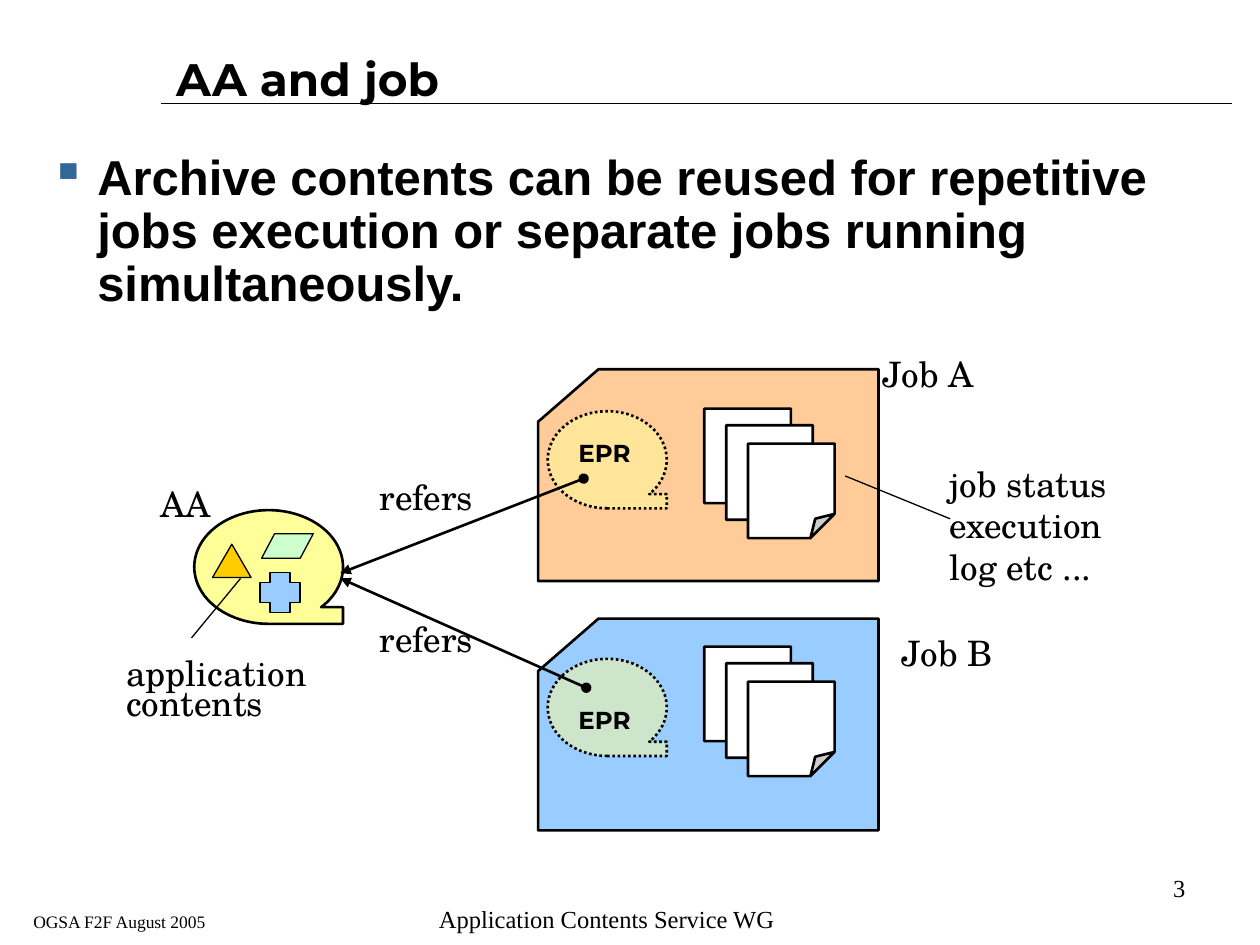
"""Build a slide showing how jobs refer to one application archive."""
from lxml import etree
from pptx import Presentation
from pptx.dml.color import RGBColor
from pptx.enum.dml import MSO_LINE
from pptx.enum.shapes import MSO_CONNECTOR, MSO_SHAPE
from pptx.enum.text import MSO_ANCHOR, MSO_AUTO_SIZE, PP_ALIGN
from pptx.oxml.ns import qn
from pptx.util import Pt

TAPE = MSO_SHAPE.FLOWCHART_SEQUENTIAL_ACCESS_STORAGE
PAGE = MSO_SHAPE.FOLDED_CORNER
TRI = MSO_SHAPE.ISOSCELES_TRIANGLE
SLANT = MSO_SHAPE.PARALLELOGRAM
CROSS = MSO_SHAPE.CROSS
DOTS = MSO_LINE.ROUND_DOT
STRAIGHT = MSO_CONNECTOR.STRAIGHT
TOP, MID = MSO_ANCHOR.TOP, MSO_ANCHOR.MIDDLE
LEFT, RIGHT = PP_ALIGN.LEFT, PP_ALIGN.RIGHT
CENTER, EVEN = PP_ALIGN.CENTER, PP_ALIGN.JUSTIFY
FIXED = MSO_AUTO_SIZE.NONE

HEAD, BODY = "Montserrat", "Arial"
NOTE, FOOT = "TeX Gyre Schola", "Times New Roman"
COLORS = {
    "ink": "000000", "white": "FFFFFF", "bullet": "336699",
    "peach": "FFCC99", "sky": "99CCFF", "cream": "FFFF99",
    "gold": "FFCC00", "mint": "CCFFCC",
}


def rgb(name):
    """Return a named colour."""
    return RGBColor.from_string(COLORS[name])


def place(shape, box):
    """Move and size a shape to a box in points."""
    shape.left, shape.top, shape.width, shape.height = map(Pt, box)


def write(shape, text, font, size, align=LEFT, bold=False, gap=None,
          inset=(7.2, 3.6), anchor=TOP):
    """Fill a text frame with evenly styled paragraphs."""
    frame = shape.text_frame
    frame.word_wrap, frame.auto_size = True, FIXED
    frame.vertical_anchor = anchor
    frame.margin_left = frame.margin_right = Pt(inset[0])
    frame.margin_top = frame.margin_bottom = Pt(inset[1])
    frame.text = text
    for para in frame.paragraphs:
        para.alignment, para.line_spacing = align, gap
        para.font.name, para.font.size = font, Pt(size)
        para.font.bold = bold
        para.font.color.rgb = rgb("ink")
    return frame.paragraphs


def label(slide, text, box, font, size, **style):
    """Add a text box."""
    shape = slide.shapes.add_textbox(*map(Pt, box))
    return write(shape, text, font, size, **style)


def note(slide, text, box, align=EVEN):
    """Add a tightly spaced diagram label."""
    return label(slide, text, box, NOTE, 20, align=align, gap=0.72)


def paint(shape, fill, width):
    """Give a shape its fill and outline."""
    shape.shadow.inherit = False
    shape.fill.solid()
    shape.fill.fore_color.rgb = rgb(fill)
    shape.line.color.rgb = rgb("ink")
    shape.line.width = Pt(width)


def draw(slide, kind, box, fill, width=1.5, adjust=None):
    """Add a preset shape."""
    shape = slide.shapes.add_shape(kind, *map(Pt, box))
    paint(shape, fill, width)
    if adjust is not None:
        geom = shape._element.spPr.find(qn("a:prstGeom"))
        for old in list(geom):
            geom.remove(old)
        guides = etree.SubElement(geom, qn("a:avLst"))
        etree.SubElement(guides, qn("a:gd"), name="adj",
                         fmla=f"val {round(adjust * 100000)}")
    return shape


def wire(slide, start, end, width=0.75, ends=()):
    """Add a straight line with optional head and tail marks."""
    link = slide.shapes.add_connector(STRAIGHT, *map(Pt, start + end))
    link.line.color.rgb = rgb("ink")
    link.line.width = Pt(width)
    edge = link._element.spPr.find(qn("a:ln"))
    for tag, mark in zip(("a:headEnd", "a:tailEnd"), ends):
        etree.SubElement(edge, qn(tag), type=mark)
    etree.SubElement(link._element.spPr, qn("a:effectLst"))


def card(slide, x, y, wide, high, fill):
    """Add a job card with its top left corner cut."""
    form = slide.shapes.build_freeform(Pt(x), Pt(y + high))
    points = [(x, y + 30), (x + 34.5, y), (x + wide, y), (x + wide, y + high)]
    form.add_line_segments([(Pt(a), Pt(b)) for a, b in points], close=True)
    paint(form.convert_to_shape(), fill, 1.5)


def job(slide, top, fill, tape, pages, epr, start, end):
    """Add a job card with its reference tape and log pages."""
    card(slide, 307.5, top, 194.5, 121, fill)
    ref = draw(slide, TAPE, (313, tape, 68, 55.5), "cream")
    ref.line.dash_style = DOTS
    tint = ref._element.spPr.find(qn("a:solidFill"))[0]
    etree.SubElement(tint, qn("a:alpha"), val="50000")
    wire(slide, start, end, 1.5, ("oval", "triangle"))
    for step, drop in enumerate((0, 9.5, 20)):
        draw(slide, PAGE, (402.5 + 12.5 * step, pages + drop, 49.5, 54),
             "white", adjust=0.28)
    label(slide, "EPR", (330.5, epr, 54, 28), HEAD, 14,
          align=EVEN, bold=True, inset=(0, 0))


def archive(slide):
    """Add the application archive and its contents."""
    draw(slide, TAPE, (111, 291.5, 85, 65), "cream")
    draw(slide, TRI, (121.5, 311, 22, 19), "gold", 0.75)
    draw(slide, SLANT, (149.5, 305, 29.5, 14), "mint", 0.75, 0.53)
    draw(slide, CROSS, (148.5, 327, 23, 23), "sky", 0.75)
    wire(slide, (109.5, 364.5), (137.5, 330.5))
    note(slide, "AA", (74, 278.5, 64, 34.5), CENTER)
    note(slide, "application\ncontents", (65, 375, 119.5, 57.5))


def point(slide):
    """Add the main bullet."""
    para = label(
        slide, "Archive contents can be reused for repetitive jobs execution "
        "or separate jobs running simultaneously.",
        (21.5, 84, 682.5, 406), BODY, 28, bold=True, gap=0.9)[0]
    para.space_before, para.space_after = Pt(8.8), Pt(7)
    props = para._p.get_or_add_pPr()
    props.set("marL", str(Pt(27)))
    props.set("indent", str(Pt(-27)))
    tint = etree.SubElement(props, qn("a:buClr"))
    etree.SubElement(tint, qn("a:srgbClr"), val=COLORS["bullet"])
    etree.SubElement(props, qn("a:buChar"), char="▪")
    props.append(props.find(qn("a:defRPr")))


def main():
    """Compose and save the slide."""
    deck = Presentation()
    deck.slide_width, deck.slide_height = Pt(720), Pt(540)
    slide = deck.slides.add_slide(deck.slide_layouts[5])
    wire(slide, (92, 59), (704, 59))
    title = slide.shapes.title
    place(title, (93.5, 24, 611, 41.5))
    write(title, "AA and job", HEAD, 26, bold=True, anchor=MID)
    point(slide)
    archive(slide)
    job(slide, 211, "peach", 235, 233.5, 250.5, (333.5, 273.5), (194.5, 327.5))
    job(slide, 353.5, "sky", 376.5, 369.5, 403, (335, 393), (194.5, 330.5))
    for y in (274.5, 355.5):
        note(slide, "refers", (210, y, 72, 34.5))
    for text, x, y in (("Job A", 479.5, 204), ("Job B", 490.5, 363.5)):
        note(slide, text, (x, y, 101.5, 34.5), CENTER)
    wire(slide, (543, 296.5), (483, 272))
    log = note(slide, "job status\nexecution log etc ...",
               (535.5, 267, 111, 75.5))
    log[1].line_spacing = 1.0
    for text, box, size, align in (
            ("Application Contents Service WG", (216, 510, 261.5, 30), 14, CENTER),
            ("3", (616.5, 498.5, 68, 17), 14, RIGHT),
            ("OGSA F2F August 2005", (12, 513.5, 127, 26.5), 10, LEFT)):
        label(slide, text, box, FOOT, size, align=align, anchor=MID)
    deck.save("out.pptx")


if __name__ == "__main__":
    main()
